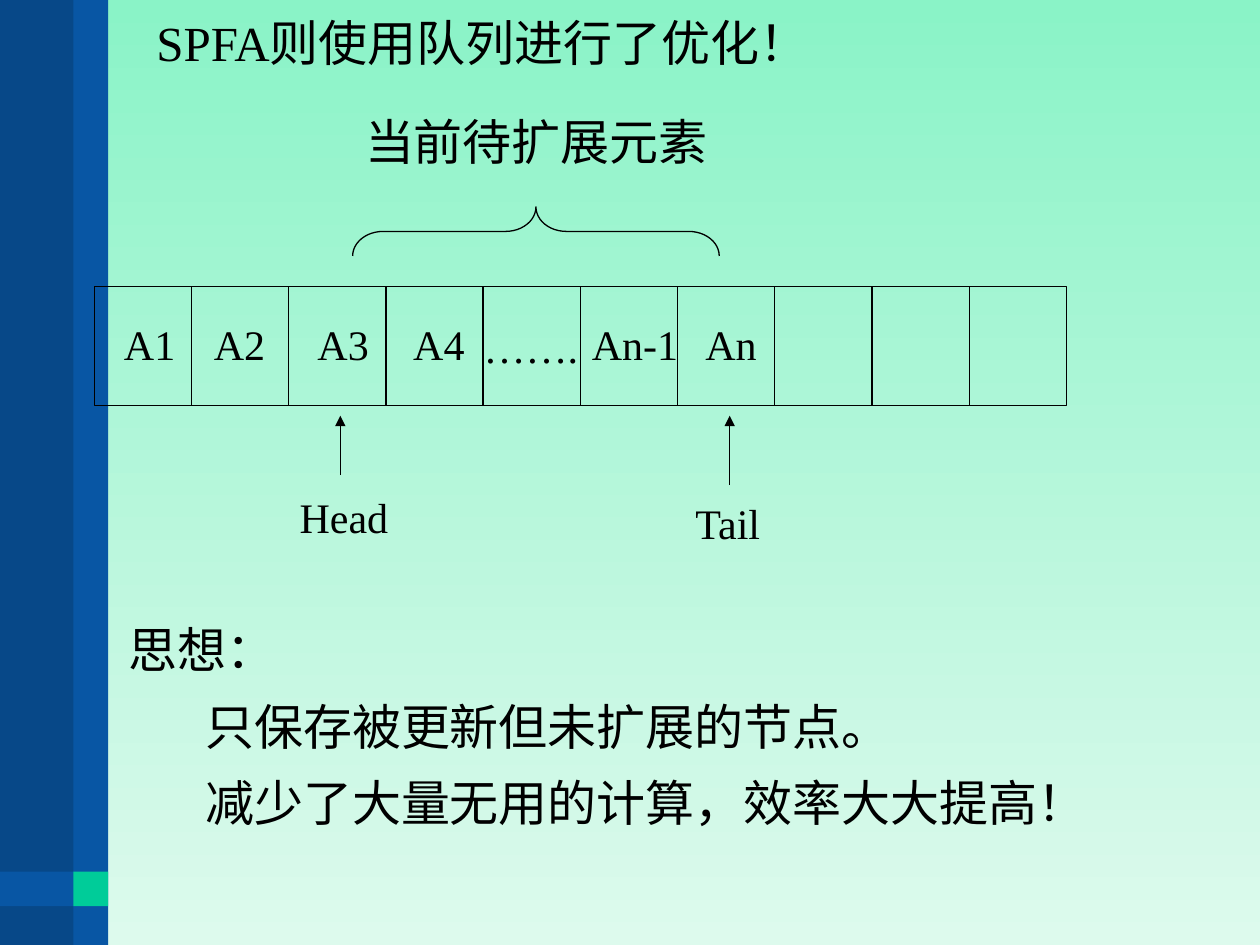
from pptx import Presentation, util as u
from pptx.dml.color import RGBColor
from pptx.enum import shapes as sh, text as tx
from pptx.oxml.ns import qn
from lxml import etree

INK = "000000"
SERIF = "Times New Roman"


def cm(*nums):
    return [u.Cm(n) for n in nums]


def tint(code):
    return RGBColor.from_string(code)


def wash(slide):
    fill = slide.background.fill
    fill.gradient()
    fill.gradient_angle = 270
    for stop, pos, code in zip(fill.gradient_stops, (0, 1), ("8AF3C7", "DDFAED")):
        stop.position = pos
        stop.color.rgb = tint(code)


def draw(slide, kind, at, fill=None):
    item = slide.shapes.add_shape(kind, *cm(*at))
    item.shadow.inherit = False
    if fill:
        item.fill.solid()
        item.fill.fore_color.rgb = tint(fill)
        item.line.fill.background()
    else:
        item.fill.background()
        item.line.color.rgb = tint(INK)
        item.line.width = u.Pt(0.75)
    return item


def style(box, size, font=SERIF, wrap=False):
    frame = box.text_frame
    frame.word_wrap = wrap
    frame.vertical_anchor = tx.MSO_ANCHOR.TOP
    for para in frame.paragraphs:
        para.alignment = tx.PP_ALIGN.LEFT
        for run in para.runs:
            run.font.size = u.Pt(size)
            run.font.name = font
            run.font.color.rgb = tint(INK)


def label(slide, words, at, size=24, font=SERIF, wrap=False):
    box = slide.shapes.add_textbox(*cm(*at))
    box.text_frame.text = words
    style(box, size, font, wrap)
    return box


def arrow(slide, x, low, high):
    line = slide.shapes.add_connector(sh.MSO_CONNECTOR.STRAIGHT, *cm(x, low, x, high))
    line.line.color.rgb = tint(INK)
    line.line.width = u.Pt(0.75)
    etree.SubElement(line.line._get_or_add_ln(), qn("a:tailEnd"), type="triangle")
    etree.SubElement(line._element.spPr, qn("a:effectLst"))


def head(slide, words):
    title = slide.shapes.title
    title.left, title.top, title.width, title.height = cm(2.9, 0.13, 14.2, 1.45)
    title.text_frame.text = words
    style(title, 28, wrap=True)


def bars(slide):
    for at, fill in (
        ((0, 0, 2.11, 19.05), "074888"),
        ((1.48, 0, 0.7, 19.05), "0856A4"),
        ((0, 17.57, 2.11, 0.7), "0856A4"),
        ((1.48, 17.57, 0.7, 0.7), "00CC99"),
    ):
        draw(slide, sh.MSO_SHAPE.RECTANGLE, at, fill)


def queue(slide):
    left, top, step, tall = 1.9, 5.77, 1.96, 2.4
    for i in range(10):
        draw(slide, sh.MSO_SHAPE.RECTANGLE, (left + i * step, top, step, tall))
    for words, x, y, wide in (
        ("A1", 2.25, 6.3, 1.55),
        ("A2", 4.06, 6.3, 1.55),
        ("A3", 6.15, 6.3, 1.55),
        ("A4", 8.08, 6.3, 1.55),
        ("…….", 9.5, 6.35, 2.41),
        ("An-1", 11.68, 6.3, 2.24),
        ("An", 13.97, 6.3, 1.55),
        ("Head", 5.79, 9.78, 2.29),
        ("Tail", 13.77, 9.91, 1.85),
    ):
        label(slide, words, (x, y, wide, 1.27))
    arrow(slide, 6.86, 9.58, 8.38)
    arrow(slide, 14.71, 9.78, 8.38)


def span(slide):
    brace = draw(slide, sh.MSO_SHAPE.RIGHT_BRACE, (10.31, 0.97, 0.99, 7.39))
    brace.rotation = 270
    brace.adjustments[0] = 0.62
    label(slide, "当前待扩展元素", (7.11, 2.13, 7.42, 1.45), 28, "Arial")


def idea(slide):
    words = "思想：\n只保存被更新但未扩展的节点。\n减少了大量无用的计算，效率大大提高！"
    box = label(slide, words, (2.34, 12.37, 20.5, 4.52), 28, wrap=True)
    for para in box.text_frame.paragraphs[1:]:
        para.line_spacing = 1.3
        para._p.get_or_add_pPr().set("marL", str(u.Cm(1.55)))


def main():
    deck = Presentation()
    deck.slide_width, deck.slide_height = cm(25.4, 19.05)
    slide = deck.slides.add_slide(deck.slide_layouts[5])
    wash(slide)
    bars(slide)
    head(slide, "SPFA则使用队列进行了优化！")
    idea(slide)
    queue(slide)
    span(slide)
    deck.save("out.pptx")


if __name__ == "__main__":
    main()
